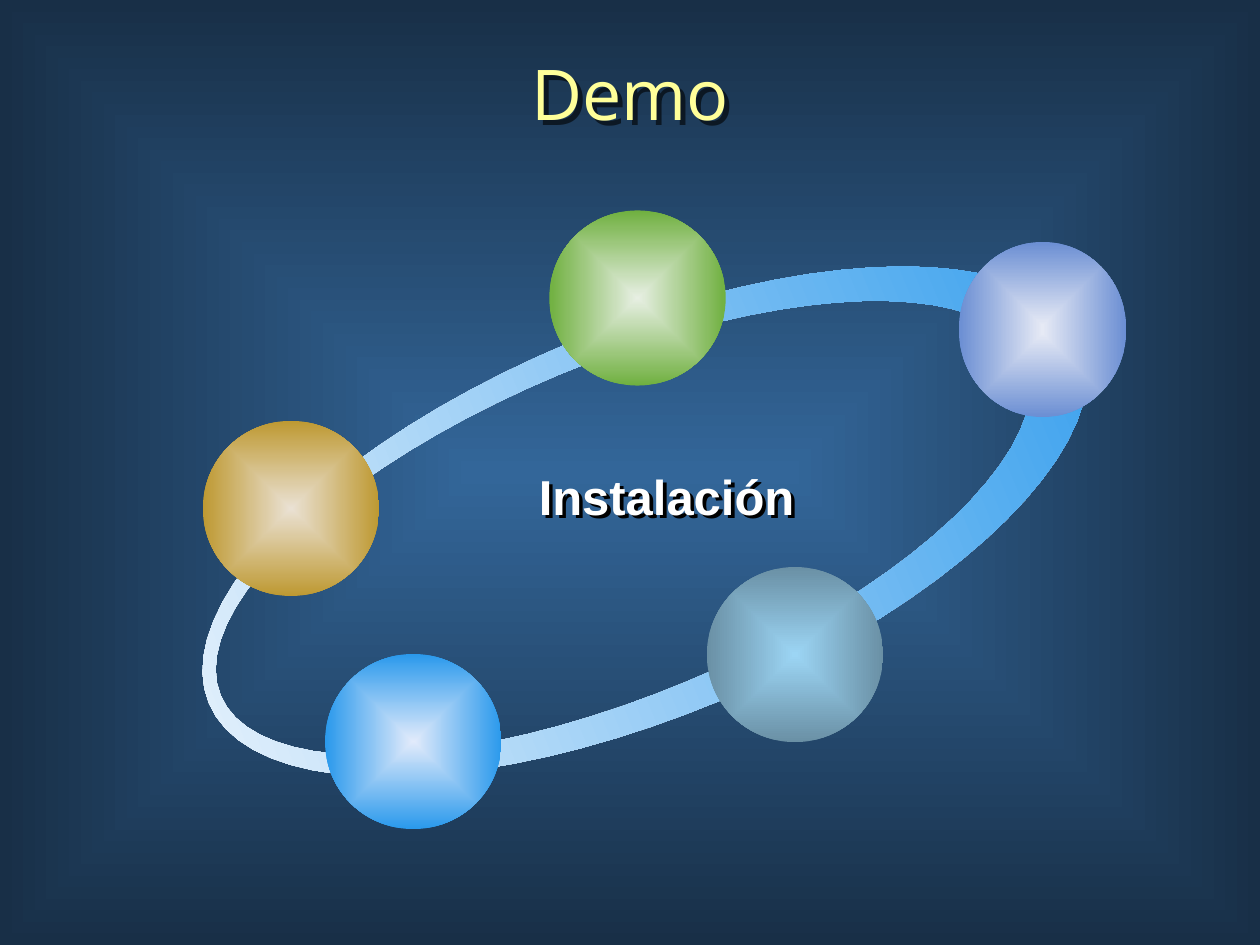
"""Build the demo slide: five glossy spheres on a tilted orbit."""
from dataclasses import dataclass
from math import cos, pi, sin

from pptx import Presentation
from pptx.dml.color import RGBColor
from pptx.enum.shapes import MSO_SHAPE
from pptx.enum.text import MSO_ANCHOR, PP_ALIGN
from pptx.oxml import parse_xml
from pptx.oxml.ns import qn
from pptx.util import Inches, Pt

DRAWING = "http://schemas.openxmlformats.org/drawingml/2006/main"
CENTERED = ('<a:path path="shape"><a:fillToRect l="50000" t="50000" '
            'r="50000" b="50000"/></a:path>')
ACROSS = '<a:lin ang="0" scaled="0"/>'


@dataclass
class Sphere:
    """A ball on the orbit, in inches."""
    left: float
    top: float
    center: str
    edge: str
    width: float = 1.4
    height: float = 1.39


@dataclass
class Ellipse:
    """An ellipse outline, in inches."""
    x: float
    y: float
    radius_x: float
    radius_y: float

    def points(self, count: int = 80) -> list[tuple[int, int]]:
        """Return evenly spaced points around the outline."""
        angles = [2 * pi * step / count for step in range(count)]
        return [(Inches(self.x + self.radius_x * cos(angle)),
                 Inches(self.y + self.radius_y * sin(angle)))
                for angle in angles]


@dataclass
class Label:
    """A centred line of text; the shadow has a distance and an opacity."""
    text: str
    left: float
    top: float
    width: float
    height: float
    size: int
    font: str
    color: str
    bold: bool
    shadow_distance: float
    shadow_percent: int


SPHERES = [
    Sphere(4.36, 1.67, "E7EFE3", "70B040"),
    Sphere(1.61, 3.34, "EAE1D3", "BE9932"),
    Sphere(2.58, 5.19, "E2EBFB", "2A99EC"),
    Sphere(5.61, 4.5, "9CD5F4", "6A90A5"),
    Sphere(7.61, 1.92, "E6EAF5", "6B8ED3", width=1.33),
]
ORBIT_OUTER = Ellipse(5.12, 4.14, 3.75, 1.54)
ORBIT_INNER = Ellipse(4.94, 4.12, 3.46, 1.32)
ORBIT_ROTATION = 337.4
LABELS = [
    Label("Demo", 0.5, 0.3, 9, 0.87, 40, "Open Sans", "FFFF99",
          False, 0.06, 60),
    Label("Instalación", 3.68, 3.65, 3.22, 0.57, 28, "Arial", "FFFFFF",
          True, 0.04, 100),
]


def set_gradient(owner, properties, start: str, end: str, direction: str) -> None:
    """Give the owner a two-colour gradient fill."""
    owner.fill.solid()
    gradient = parse_xml(
        f'<a:gradFill xmlns:a="{DRAWING}" rotWithShape="1"><a:gsLst>'
        f'<a:gs pos="0"><a:srgbClr val="{start}"/></a:gs>'
        f'<a:gs pos="100000"><a:srgbClr val="{end}"/></a:gs>'
        f'</a:gsLst>{direction}</a:gradFill>')
    properties.replace(properties.find(qn("a:solidFill")), gradient)


def finish(shape, start: str, end: str, direction: str) -> None:
    """Fill a shape and remove its line and shadow."""
    set_gradient(shape, shape._element.spPr, start, end, direction)
    shape.line.fill.background()
    shape.shadow.inherit = False


def add_orbit(page) -> None:
    """Draw the tilted ring between two ellipses."""
    outer, inner = ORBIT_OUTER.points(), ORBIT_INNER.points()[::-1]
    builder = page.shapes.build_freeform(*outer[0])
    builder.add_line_segments(outer[1:], close=True)
    builder.move_to(*inner[0])
    builder.add_line_segments(inner[1:], close=True)
    ring = builder.convert_to_shape()
    ring.rotation = ORBIT_ROTATION
    finish(ring, "F4F8FD", "2A99EC", ACROSS)


def add_sphere(page, sphere: Sphere) -> None:
    """Draw one ball."""
    ball = page.shapes.add_shape(
        MSO_SHAPE.OVAL, Inches(sphere.left), Inches(sphere.top),
        Inches(sphere.width), Inches(sphere.height))
    finish(ball, sphere.center, sphere.edge, CENTERED)


def add_label(page, label: Label) -> None:
    """Write one centred line with a shadow."""
    box = page.shapes.add_textbox(
        Inches(label.left), Inches(label.top),
        Inches(label.width), Inches(label.height))
    frame = box.text_frame
    frame.word_wrap = True
    frame.vertical_anchor = MSO_ANCHOR.MIDDLE
    para = frame.paragraphs[0]
    para.text = label.text
    para.alignment = PP_ALIGN.CENTER
    font = para.font
    font.size, font.name, font.bold = Pt(label.size), label.font, label.bold
    font.color.rgb = RGBColor.from_string(label.color)
    box._element.spPr.append(parse_xml(
        f'<a:effectLst xmlns:a="{DRAWING}"><a:outerShdw '
        f'dist="{Inches(label.shadow_distance)}" dir="2700000" algn="tl">'
        f'<a:srgbClr val="000000"><a:alpha val="{label.shadow_percent * 1000}"/>'
        f'</a:srgbClr></a:outerShdw></a:effectLst>'))


def main() -> None:
    """Build and save the deck."""
    deck = Presentation()
    deck.slide_width, deck.slide_height = Inches(10), Inches(7.5)
    page = deck.slides.add_slide(deck.slide_layouts[6])
    background = page.background
    background.fill.solid()
    set_gradient(background, page._element.cSld.bg.bgPr,
                 "336699", "182F47", CENTERED)
    add_orbit(page)
    for sphere in SPHERES:
        add_sphere(page, sphere)
    for label in LABELS:
        add_label(page, label)
    deck.save("out.pptx")


main()
